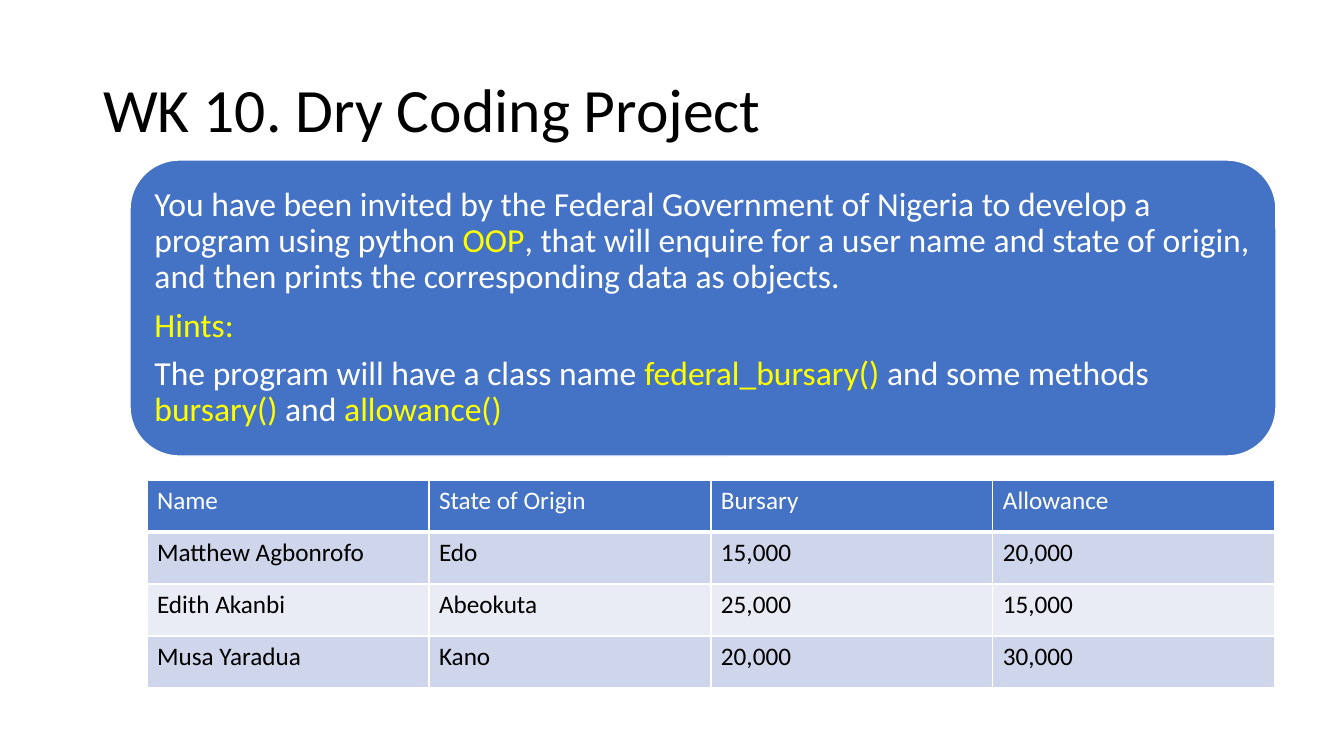
from lxml.etree import SubElement
from pptx import Presentation
from pptx.dml.color import RGBColor
from pptx.enum.shapes import MSO_SHAPE as SHAPE
from pptx.enum.text import MSO_ANCHOR as ANCHOR, MSO_AUTO_SIZE as AUTO, PP_ALIGN as ALIGN
from pptx.oxml.ns import qn
from pptx.util import Emu, Pt

PX = 914400 / 100.8
FONT = "Calibri"
BLACK = RGBColor(0x00, 0x00, 0x00)
WHITE = RGBColor(0xFF, 0xFF, 0xFF)
YELLOW = RGBColor(0xFF, 0xFF, 0x00)
BLUE = RGBColor(0x44, 0x72, 0xC4)
BAND_DARK = RGBColor(0xCF, 0xD5, 0xEA)
BAND_LIGHT = RGBColor(0xE9, 0xEB, 0xF5)

BRIEF = [
    [("You have been invited by the Federal Government of Nigeria to develop a "
      "program using python ", WHITE),
     ("OOP", YELLOW),
     (", that will enquire for a user name and state of origin, and then prints "
      "the corresponding data as objects. ", WHITE)],
    [("Hints:", YELLOW)],
    [("The program will have a class name ", WHITE),
     ("federal_bursary() ", YELLOW),
     ("and some methods ", WHITE),
     ("bursary() ", YELLOW),
     ("and ", WHITE),
     ("allowance()", YELLOW)],
]
BURSARIES = [
    ["Name", "State of Origin", "Bursary", "Allowance"],
    ["Matthew Agbonrofo ", "Edo", "15,000", "20,000"],
    ["Edith Akanbi", "Abeokuta", "25,000", "15,000"],
    ["Musa Yaradua", "Kano", "20,000", "30,000"],
]


def px(n):
    """Turn picture pixels into EMU."""
    return Emu(round(n * PX))


def add_run(p, text, size, color):
    """Append one formatted run to a paragraph."""
    r = p.add_run()
    r.text = text
    r.font.name, r.font.size, r.font.bold = FONT, Pt(size), False
    r.font.color.rgb = color


def set_title(s, text, x, y, w, h):
    """Place and fill the title placeholder."""
    sp = s.shapes.title
    sp.left, sp.top, sp.width, sp.height = map(px, (x, y, w, h))
    tf = sp.text_frame
    tf.auto_size, tf.vertical_anchor = AUTO.NONE, ANCHOR.MIDDLE
    p = tf.paragraphs[0]
    p.alignment, p.line_spacing = ALIGN.LEFT, 0.9
    add_run(p, text, 44, BLACK)


def add_panel(s, paragraphs, x, y, w, h):
    """Add a rounded panel holding paragraphs of coloured runs."""
    sp = s.shapes.add_shape(SHAPE.ROUNDED_RECTANGLE, *map(px, (x, y, w, h)))
    sp.shadow.inherit = False
    sp.fill.solid()
    sp.fill.fore_color.rgb = BLUE
    sp.line.color.rgb, sp.line.width = WHITE, Pt(1)
    tf = sp.text_frame
    tf.word_wrap, tf.vertical_anchor = True, ANCHOR.MIDDLE
    tf.margin_left = tf.margin_right = tf.margin_top = tf.margin_bottom = px(10)
    for i, runs in enumerate(paragraphs):
        p = tf.add_paragraph() if i else tf.paragraphs[0]
        p.alignment, p.line_spacing, p.space_after = ALIGN.LEFT, 0.9, Pt(8.5)
        for text, color in runs:
            add_run(p, text, 24, color)


def set_borders(cell, widths):
    """Draw white left, right, top and bottom borders, widths in points."""
    tc_pr = cell._tc.get_or_add_tcPr()
    for i, (side, width) in enumerate(zip("LRTB", widths)):
        ln = tc_pr.makeelement(qn(f"a:ln{side}"), {"w": str(Pt(width))})
        fill = SubElement(ln, qn("a:solidFill"))
        SubElement(fill, qn("a:srgbClr"), val=str(WHITE))
        tc_pr.insert(i, ln)


def add_banded_table(s, data, x, y, col_w, row_h):
    """Add a table with a blue header and alternating row fills."""
    rows, cols = len(data), len(data[0])
    size = map(px, (x, y, col_w * cols, row_h * rows))
    table = s.shapes.add_table(rows, cols, *size).table
    for i, row in enumerate(data):
        band = BAND_DARK if i % 2 else BAND_LIGHT
        for j, text in enumerate(row):
            cell = table.cell(i, j)
            cell.fill.solid()
            cell.fill.fore_color.rgb = band if i else BLUE
            add_run(cell.text_frame.paragraphs[0], text, 18, BLACK if i else WHITE)
            set_borders(cell, (1, 1, 3 if i == 1 else 1, 1 if i else 3))


def main():
    """Build the slide and save it."""
    prs = Presentation()
    prs.slide_width, prs.slide_height = px(1344), px(756)
    s = prs.slides.add_slide(prs.slide_layouts[5])
    set_title(s, "WK 10. Dry Coding Project", 93, 40, 1159, 146)
    add_panel(s, BRIEF, 130, 160, 1146, 296)
    add_banded_table(s, BURSARIES, 147, 480, 282, 52)
    prs.save("out.pptx")


main()
